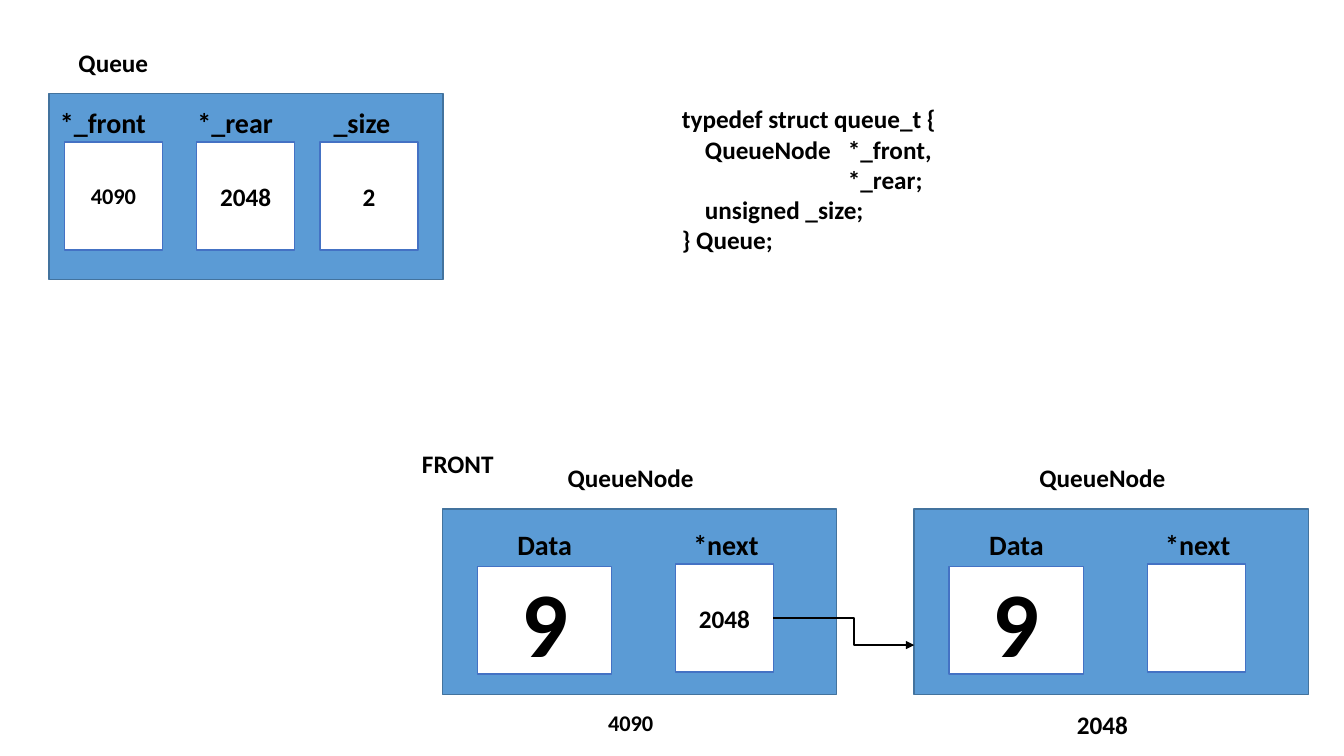
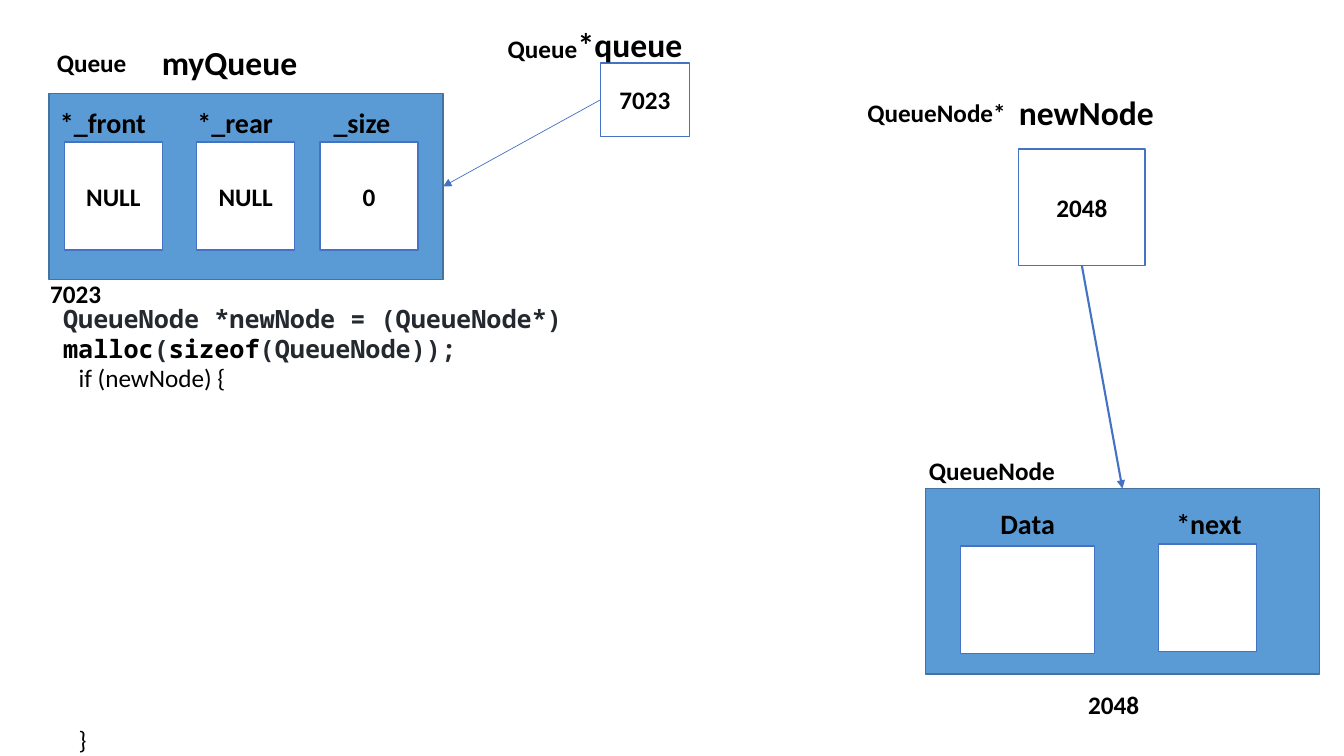
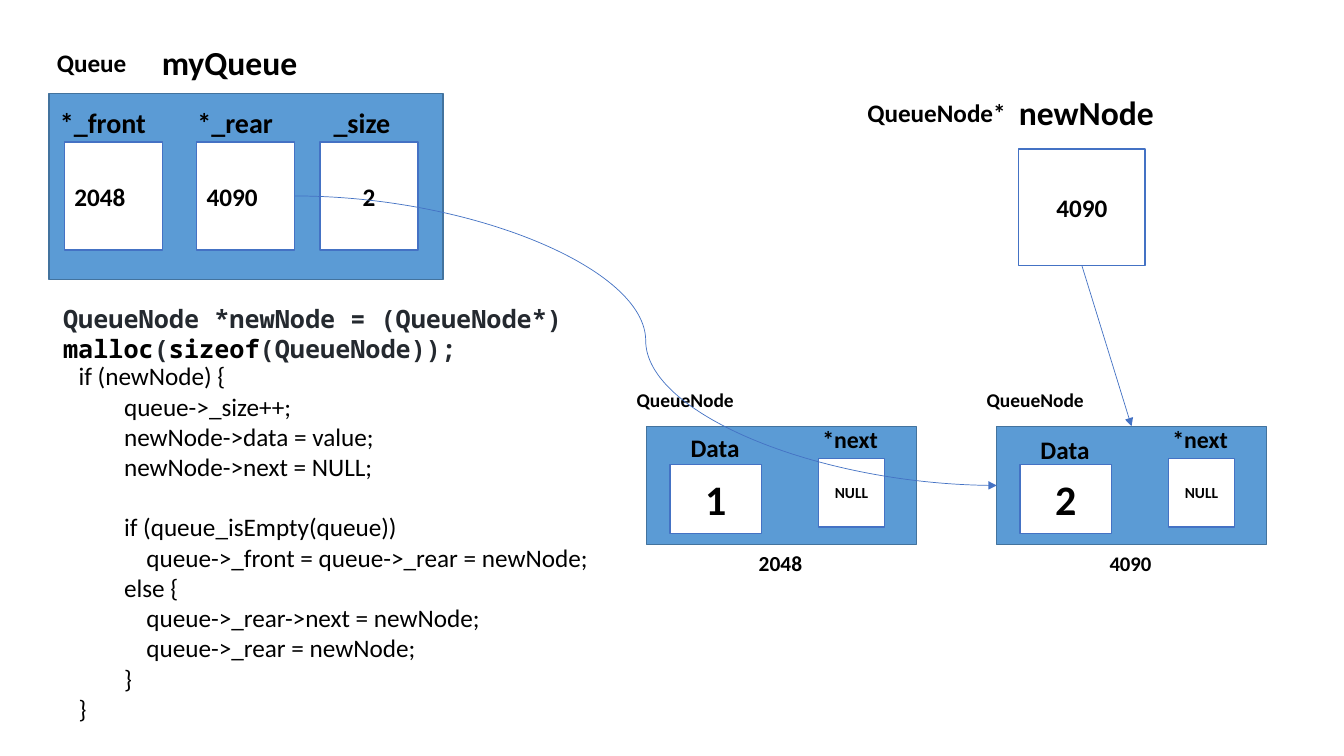
"""Draw three slides that show how a linked queue stores its nodes."""
from lxml import etree
from pptx import Presentation
from pptx.dml.color import RGBColor
from pptx.enum.shapes import MSO_CONNECTOR, MSO_SHAPE
from pptx.enum.text import MSO_ANCHOR, MSO_AUTO_SIZE, PP_ALIGN
from pptx.oxml.ns import qn
from pptx.util import Pt

RECT = MSO_SHAPE.RECTANGLE
LINE, BENT, CURVE = MSO_CONNECTOR.STRAIGHT, MSO_CONNECTOR.ELBOW, MSO_CONNECTOR.CURVE
TOP, MID, LOW = MSO_ANCHOR.TOP, MSO_ANCHOR.MIDDLE, MSO_ANCHOR.BOTTOM
LEFT, MIDST = PP_ALIGN.LEFT, PP_ALIGN.CENTER
NORTH, WEST, SOUTH, EAST = range(4)
FACE, MONO = "Calibri", "Noto Sans Mono"
HUES = {"ink": "000000", "code": "24292F", "body": "5B9BD5",
        "rim": "43739E", "edge": "4472C4", "cell": "FFFFFF"}
BIG = {"body": (281.5, 132.5), "data": (25, 41, 96, 77), "next": (166.5, 39.5, 70, 77),
       "heads": ((30.5, 3.5), (160, 3.5)), "head": (85, 37.5), "sizes": (20, 20),
       "tag": (72.5, -34.5), "foot": (72.5, 142), "note": (124, 34.5),
       "value": 66, "link": 18, "name": 18, "lead": 0.9}
SMALL = {"body": (192.5, 84.5), "data": (16.5, 27.5, 65.5, 49), "next": (122.5, 23, 47.5, 49),
         "heads": ((20, 6), (116.5, -2)), "head": (57.5, 24), "sizes": (18, 17),
         "tag": (-14.5, -26), "foot": (53.5, 90), "note": (84, 21.5),
         "value": 30, "link": 11, "name": 13.9, "lead": 0.7}


def color(name):
    return RGBColor.from_string(HUES[name])


def write(frame, lines, size=18, bold=True, face=FACE, hue="ink", align=MIDST,
          anchor=TOP, lead=None, before=None, gaps=None, stops=()):
    frame.word_wrap = True
    frame.auto_size = MSO_AUTO_SIZE.NONE
    frame.vertical_anchor = anchor
    for i, line in enumerate(lines):
        para = frame.paragraphs[0] if i == 0 else frame.add_paragraph()
        para.alignment = align
        if lead:
            para.line_spacing = lead
        space = (gaps or {}).get(i, before)
        if space is not None:
            para.space_before = Pt(space)
        if stops:
            tabs = etree.SubElement(para._p.get_or_add_pPr(), qn("a:tabLst"))
            for stop in stops:
                etree.SubElement(tabs, qn("a:tab"), pos=str(Pt(stop)), algn="l")
        for text, tint in [(line, hue)] if isinstance(line, str) else line:
            run = para.add_run()
            run.text = text
            run.font.size, run.font.bold, run.font.name = Pt(size), bold, face
            run.font.color.rgb = color(tint)


def spot(shape, side):
    x, y, w, h = shape.left, shape.top, shape.width, shape.height
    return ((x + w // 2, y), (x, y + h // 2), (x + w // 2, y + h), (x + w, y + h // 2))[side]


class Deck:
    """Hold the presentation, its style and the current slide."""

    def __init__(self):
        self.prs = Presentation()
        self.prs.slide_width, self.prs.slide_height = Pt(960), Pt(540)

    def page(self, titled=True):
        """Start a slide."""
        self.slide = self.prs.slides.add_slide(self.prs.slide_layouts[5 if titled else 6])
        self.shapes = self.slide.shapes

    def rect(self, x, y, w, h, fill="cell", edge="edge", text="", **form):
        """Draw a box with optional text."""
        box = self.shapes.add_shape(RECT, Pt(x), Pt(y), Pt(w), Pt(h))
        box.shadow.inherit = False
        box.fill.solid()
        box.fill.fore_color.rgb = color(fill)
        box.line.color.rgb = color(edge)
        box.line.width = Pt(1)
        if text:
            write(box.text_frame, [text], anchor=MID, **form)
        return box

    def label(self, lines, x, y, w, h, **form):
        """Place free text."""
        box = self.shapes.add_textbox(Pt(x), Pt(y), Pt(w), Pt(h))
        write(box.text_frame, lines, **form)

    def note(self, text, x, y, size=18, w=124, h=34.5, lead=0.9):
        """Place a short caption."""
        self.label([text], x, y, w, h, size=size, lead=lead, before=10)

    def head(self, text, x, y, w=85, h=37.5, size=20, lead=0.9):
        """Name a field."""
        self.label([text], x, y, w, h, size=size, lead=lead, anchor=LOW)

    def title(self, text, x, y, w, h, size):
        """Place the title above what is drawn so far."""
        box = self.shapes.title
        box.left, box.top, box.width, box.height = Pt(x), Pt(y), Pt(w), Pt(h)
        write(box.text_frame, [text], size=size, lead=0.9, before=0, anchor=LOW)
        self.shapes.element.append(box.element)

    def queue(self, values, sizes=(18, 18, 18), aligns=(MIDST, MIDST, MIDST)):
        """Draw the queue struct; return its body and cells."""
        body = self.rect(35, 67, 281.5, 132.5, "body", "rim")
        cells = []
        spots = ((46, 31, 65.5), (140.5, 125.5, 66), (228.5, 216, 65.5))
        names = ("*_front", "*_rear", "_size")
        for (x, left, top), name, value, size, align in zip(spots, names, values, sizes, aligns):
            cells.append(self.rect(x, 101.5, 70, 77, text=value, size=size, align=align))
            self.head(name, left, top)
        return body, cells

    def node(self, x, y, foot, data="", link="", kit=BIG, tag=None, size=18, titled=False):
        """Draw a node; return its body and link cell."""
        body = self.rect(x, y, *kit["body"], "body", "rim")
        cells = []
        for key, text, scale in (("data", data, "value"), ("next", link, "link")):
            left, top, w, h = kit[key]
            cells.append(self.rect(x + left, y + top, w, h, text=text, size=kit[scale]))
        for name, (left, top), scale in zip(("Data", "*next"), kit["heads"], kit["sizes"]):
            place = (x + left, y + top, *kit["head"], scale)
            if titled and name == "Data":
                self.title(name, *place)
            else:
                self.head(name, *place, kit["lead"])
        for text, (left, top), scale in (("QueueNode", tag or kit["tag"], kit["name"]),
                                         (foot, kit["foot"], size)):
            self.note(text, x + left, y + top, scale, *kit["note"], kit["lead"])
        return body, cells[1]

    def arrow(self, a, out, b, into, kind=LINE, hue="edge", width=0.5, drop=0, bend=None):
        """Lead an arrow from one side of a box to a side of another."""
        x, y = spot(b, into)
        wire = self.shapes.add_connector(kind, *spot(a, out), x, y + Pt(drop))
        if kind == LINE:
            wire.begin_connect(a, out)
            wire.end_connect(b, into)
        wire.line.color.rgb = color(hue)
        wire.line.width = Pt(width)
        props = wire.element.spPr
        etree.SubElement(props.find(qn("a:ln")), qn("a:tailEnd"), type="triangle")
        etree.SubElement(props, qn("a:effectLst"))
        if bend:
            guides = props.find(qn("a:prstGeom")).find(qn("a:avLst"))
            etree.SubElement(guides, qn("a:gd"), name="adj1", fmla=f"val {bend}")

    def named(self, name, kind, x, y, gap, rise):
        """Write a type and the variable name beside it."""
        self.note(kind, x, y)
        self.note(name, x + gap, y + rise, 24)

    def fresh(self, value):
        """Draw the new node pointer."""
        self.named("newNode", "QueueNode*", 607, 68.5, 107, -3.5)
        return self.rect(727.5, 106.5, 90.5, 83, text=value)

    def alloc(self):
        """Write the allocation call."""
        call = [("QueueNode *newNode = (QueueNode*) ", "code"), ("malloc", "ink"),
                ("(", "code"), ("sizeof", "ink"), ("(QueueNode));", "code")]
        self.label([call], 38, 213, 620.5, 29, face=MONO, align=LEFT)


def layout(deck):
    deck.page()
    deck.queue(("4090", "2048", "2"), sizes=(16, 18, 18))
    deck.note("Queue", 19, 32.5)
    last, _ = deck.node(653, 363.5, "2048", "9", titled=True)
    _, link = deck.node(316, 363.5, "4090", "9", "2048", size=16)
    deck.note("FRONT", 265, 319)
    deck.arrow(link, EAST, last, WEST, BENT, "ink", 1.5, drop=31, bend=57000)
    deck.label(["typedef struct queue_t {", "\tQueueNode\t*_front,", "\t\t*_rear;",
                "\tunsigned _size;", "} Queue;"],
               480, 70.5, 480, 116.5, align=LEFT, stops=(16.5, 118.5))


def create(deck):
    deck.page(titled=False)
    body, _ = deck.queue(("NULL", "NULL", "0"))
    deck.named("myQueue", "Queue", 3.5, 32.5, 98.5, -2.5)
    deck.note("7023", -8, 198)
    deck.alloc()
    deck.label(["if (newNode) {", "}"], 49, 255.5, 480, 291,
               bold=False, align=LEFT, gaps={1: 237})
    fresh = deck.fresh("2048")
    node, _ = deck.node(661, 349, "2048", tag=(-14.5, -25))
    deck.arrow(fresh, SOUTH, node, NORTH, width=1.5)
    ref = deck.rect(429, 45, 63.5, 52.5, text="7023")
    deck.named("*queue", "Queue", 325.5, 23, 62.5, -6.5)
    deck.arrow(ref, WEST, body, EAST)


def append(deck):
    deck.page()
    _, cells = deck.queue(("2048", "4090", "2"), aligns=(LEFT, LEFT, MIDST))
    deck.named("myQueue", "Queue", 3.5, 32.5, 98.5, -2.5)
    fresh = deck.fresh("4090")
    deck.node(462, 304.5, "2048", "1", "NULL", SMALL, size=15.3, titled=True)
    last, _ = deck.node(712, 304.5, "4090", "2", "NULL", SMALL, size=14.8)
    deck.alloc()
    deck.label(["if (newNode) {", "\tqueue->_size++;", "\tnewNode->data = value;",
                "\tnewNode->next = NULL;", "\tif (queue_isEmpty(queue))",
                "\t\tqueue->_front = queue->_rear = newNode;", "\telse {",
                "\t\tqueue->_rear->next = newNode;", "\t\tqueue->_rear = newNode;",
                "\t}", "}"],
               49, 254, 480, 269.5, bold=False, align=LEFT, gaps={4: 21.6}, stops=(32.5, 48.5))
    deck.arrow(fresh, SOUTH, last, NORTH)
    deck.arrow(cells[1], EAST, last, WEST, CURVE)


def main():
    deck = Deck()
    for draw in (layout, create, append):
        draw(deck)
    deck.prs.save("out.pptx")


if __name__ == "__main__":
    main()
